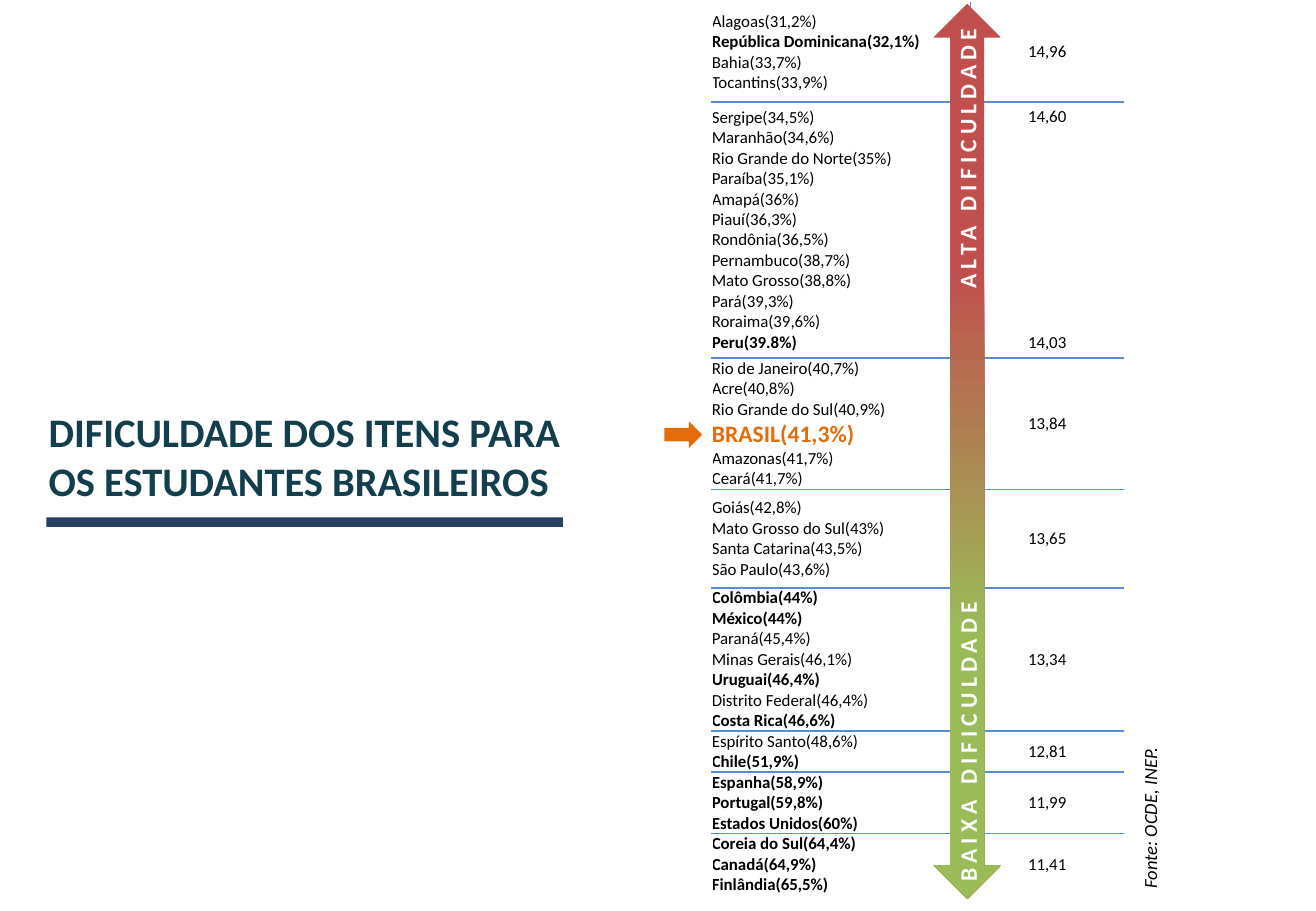
"""Build the slide on item difficulty for Brazilian students."""
from dataclasses import dataclass

from lxml import etree
from pptx import Presentation
from pptx import util as u
from pptx.dml.color import RGBColor
from pptx.enum import shapes, text
from pptx.oxml.ns import qn

TITLE = ["DIFICULDADE DOS ITENS PARA", "OS ESTUDANTES BRASILEIROS"]
COUNTRIES = {"República Dominicana", "Peru", "Colômbia", "México", "Uruguai", "Costa Rica", "Chile",
             "Espanha", "Portugal", "Estados Unidos", "Coreia do Sul", "Canadá", "Finlândia"}
HIGHLIGHT = "BRASIL"
BANDS = [
    (2.08, ["Alagoas(31,2%)", "República Dominicana(32,1%)", "Bahia(33,7%)", "Tocantins(33,9%)"],
     ["14,96"]),
    (5.36, ["Sergipe(34,5%)", "Maranhão(34,6%)", "Rio Grande do Norte(35%)", "Paraíba(35,1%)",
            "Amapá(36%)", "Piauí(36,3%)", "Rondônia(36,5%)", "Pernambuco(38,7%)",
            "Mato Grosso(38,8%)", "Pará(39,3%)", "Roraima(39,6%)", "Peru(39.8%)"],
     ["14,60", "14,03"]),
    (2.69, ["Rio de Janeiro(40,7%)", "Acre(40,8%)", "Rio Grande do Sul(40,9%)", "BRASIL(41,3%)",
            "Amazonas(41,7%)", "Ceará(41,7%)"], ["13,84"]),
    (2.06, ["Goiás(42,8%)", "Mato Grosso do Sul(43%)", "Santa Catarina(43,5%)",
            "São Paulo(43,6%)"], ["13,65"]),
    (2.9, ["Colômbia(44%)", "México(44%)", "Paraná(45,4%)", "Minas Gerais(46,1%)",
           "Uruguai(46,4%)", "Distrito Federal(46,4%)", "Costa Rica(46,6%)"], ["13,34"]),
    (0.81, ["Espírito Santo(48,6%)", "Chile(51,9%)"], ["12,81"]),
    (1.24, ["Espanha(58,9%)", "Portugal(59,8%)", "Estados Unidos(60%)"], ["11,99"]),
    (1.24, ["Coreia do Sul(64,4%)", "Canadá(64,9%)", "Finlândia(65,5%)"], ["11,41"]),
]
COLUMNS = [5.41, 3.2]
SIDE_LABELS = [
    ("Fonte: OCDE, INEP.", "source", (22.28, 16.69, 3.53, 0.74)),
    ("BAIXA DIFICULDADE", "scale", (16.41, 14.43, 7.65, 0.86)),
    ("ALTA DIFICULDADE", "scale", (17.09, 2.72, 6.27, 0.86)),
]


@dataclass(frozen=True)
class Theme:
    """Colours, type styles and spacing."""
    font: str = "Calibri"
    rule: str = "558ED5"
    accent: str = "E46C0A"
    bar: str = "254061"
    hard: str = "C0504D"
    easy: str = "9BBB59"
    line_height: float = 12.2

    def style(self, name):
        """Return size, colour, bold and italic for a named style."""
        return {"title": (24, "133F4D", True, False), "body": (10, "000000", False, False),
                "country": (10, "000000", True, False), "highlight": (14, self.accent, True, False),
                "source": (11, "000000", False, True), "scale": (14, "FFFFFF", True, False)}[name]


THEME = Theme()


def place(values):
    """Turn centimetres into lengths."""
    return [u.Cm(value) for value in values]


def assign(target, settings):
    """Set attributes from a dict."""
    for name, value in settings.items():
        setattr(target, name, value)


def write(frame, lines, align=text.PP_ALIGN.LEFT):
    """Write (text, style) lines as paragraphs and return them."""
    paras = []
    for index, (line, style) in enumerate(lines):
        para = frame.add_paragraph() if index else frame.paragraphs[0]
        para.alignment = align
        span = para.add_run()
        span.text = line
        size, colour, bold, italic = THEME.style(style)
        assign(span.font, {"name": THEME.font, "size": u.Pt(size), "bold": bold, "italic": italic})
        span.font.color.rgb = RGBColor.from_string(colour)
        if style == "scale":
            span.font._element.set("spc", "300")
        paras.append(para)
    return paras


def place_style(line):
    """Choose the style of a place by its name."""
    name = line.split("(")[0]
    if name == HIGHLIGHT:
        return "highlight"
    return "country" if name in COUNTRIES else "body"


def add_border(cell, side):
    """Draw one cell edge."""
    line = etree.SubElement(cell._tc.get_or_add_tcPr(), qn(f"a:{side}"), w=str(u.Pt(1)))
    fill = etree.SubElement(line, qn("a:solidFill"))
    etree.SubElement(fill, qn("a:srgbClr"), val=THEME.rule)


def add_bands(page):
    """Add the table of difficulty bands."""
    heights = [band[0] for band in BANDS]
    frame = page.shapes.add_table(len(BANDS), len(COLUMNS),
                                  *place((14.88, 0.05, sum(COLUMNS), sum(heights))))
    table = frame.table
    assign(table, {"first_row": False, "horz_banding": False})
    for column, width in zip(table.columns, COLUMNS):
        column.width = u.Cm(width)
    for row, (height, places, scores) in enumerate(BANDS):
        table.rows[row].height = u.Cm(height)
        for column in range(len(COLUMNS)):
            cell = table.cell(row, column)
            edges = {"lnL": column > 0, "lnR": column < len(COLUMNS) - 1,
                     "lnT": row > 0, "lnB": row < len(BANDS) - 1}
            for side, inner in edges.items():
                if inner:
                    add_border(cell, side)
            cell.fill.background()
            assign(cell, {"margin_left": 0, "margin_right": 0, "margin_top": 0,
                          "margin_bottom": 0, "vertical_anchor": text.MSO_ANCHOR.MIDDLE})
        write(table.cell(row, 0).text_frame, [(line, place_style(line)) for line in places])
        paras = write(table.cell(row, 1).text_frame, [(score, "body") for score in scores],
                      text.PP_ALIGN.CENTER)
        for para in paras[1:]:
            para.space_before = u.Pt((len(places) - len(scores)) * THEME.line_height)


def add_block(page, kind, spot, colour=None):
    """Add a plain shape without outline or shadow."""
    block = page.shapes.add_shape(kind, *place(spot))
    block.shadow.inherit = False
    block.line.fill.background()
    if colour:
        block.fill.solid()
        block.fill.fore_color.rgb = RGBColor.from_string(colour)
    return block


def add_scale(page):
    """Add the gradient arrow from high to low difficulty."""
    arrow = add_block(page, shapes.MSO_SHAPE.UP_DOWN_ARROW, (19.51, 0.08, 1.42, 18.72))
    arrow.fill.gradient()
    arrow.fill.gradient_angle = 270
    for stop, position, colour in zip(arrow.fill.gradient_stops, (0.3, 0.7),
                                      (THEME.hard, THEME.easy)):
        stop.position = position
        stop.color.rgb = RGBColor.from_string(colour)


def main():
    """Assemble and save the deck."""
    deck = Presentation()
    assign(deck, {"slide_width": u.Cm(27.51), "slide_height": u.Cm(19.05)})
    page = deck.slides.add_slide(deck.slide_layouts[5])
    title = page.shapes.title
    assign(title, dict(zip(("left", "top", "width", "height"), place((0.76, 8.38, 23.8, 2.31)))))
    assign(title.text_frame, {"word_wrap": True, "auto_size": text.MSO_AUTO_SIZE.NONE,
                              "vertical_anchor": text.MSO_ANCHOR.MIDDLE})
    write(title.text_frame, [(line, "title") for line in TITLE])
    add_bands(page)
    add_block(page, shapes.MSO_SHAPE.RIGHT_ARROW, (13.89, 8.81, 0.79, 0.56), THEME.accent)
    add_scale(page)
    for label, style, spot in SIDE_LABELS:
        box = page.shapes.add_textbox(*place(spot))
        box.rotation = 270
        box.text_frame.word_wrap = style == "scale"
        write(box.text_frame, [(label, style)])
    add_block(page, shapes.MSO_SHAPE.RECTANGLE, (0.97, 10.82, 10.8, 0.2), THEME.bar)
    deck.save("out.pptx")


if __name__ == "__main__":
    main()
